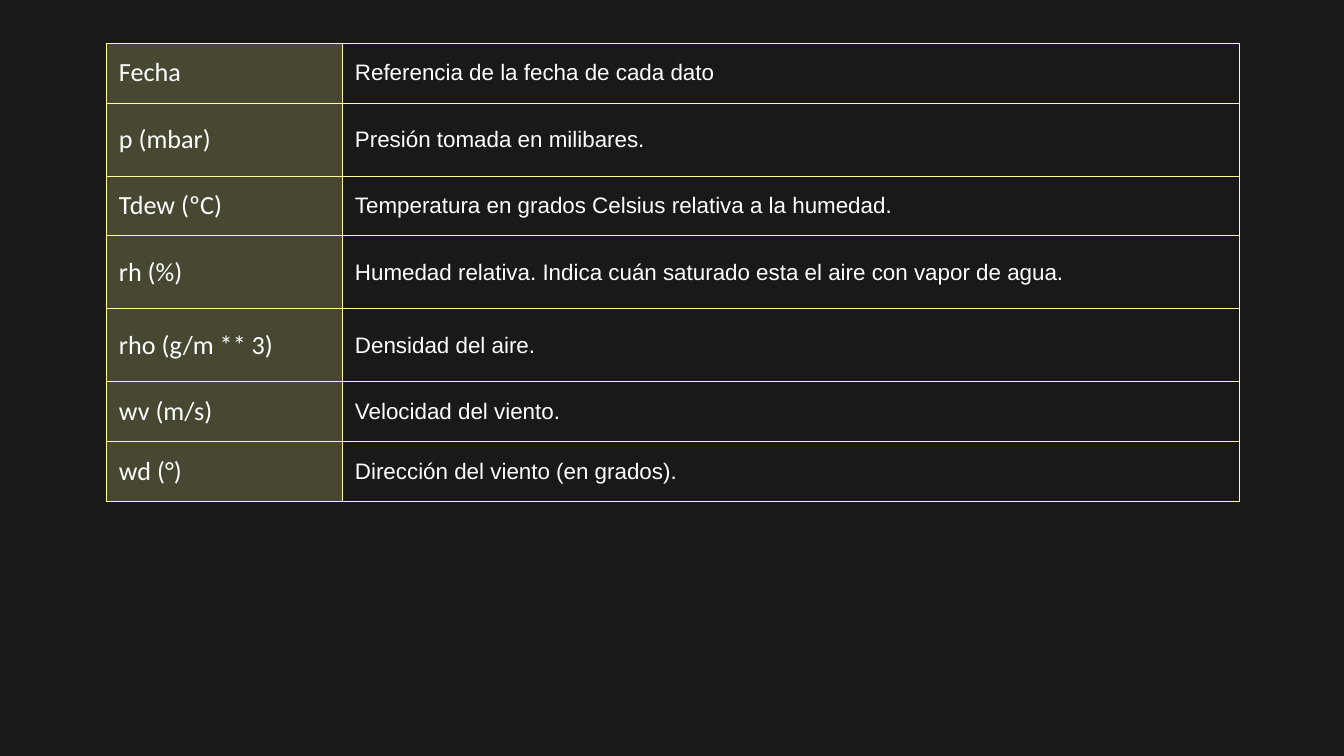
from pptx import Presentation
from pptx.dml.color import RGBColor
from pptx.enum.text import MSO_VERTICAL_ANCHOR as Anchor
from pptx.oxml.ns import qn
from pptx.util import Pt
from lxml.etree import SubElement

EMU_PER_PX = 914400 / 134.4
COLORS = {"background": "191919", "accent": "FFFF99", "text": "FFFFFF"}
VARIABLES = [
    ("Fecha", "Referencia de la fecha de cada dato", 60),
    ("p (mbar)", "Presión tomada en milibares.", 73),
    ("Tdew (ºC)", "Temperatura en grados Celsius relativa a la humedad.", 60),
    ("rh (%)", "Humedad relativa. Indica cuán saturado esta el aire con vapor de agua.", 73),
    ("rho (g/m ** 3)", "Densidad del aire.", 73),
    ("wv (m/s)", "Velocidad del viento.", 60),
    ("wd (°)", "Dirección del viento (en grados).", 60),
]


def px(length):
    return round(length * EMU_PER_PX)


def rgb(name):
    return RGBColor.from_string(COLORS[name])


class SlideBuilder:
    label_font = ("Calibri", 14)
    description_font = ("Arial", 12)
    cell_margin = 13
    border_width = 0.5
    label_opacity = 20

    def __init__(self, slide):
        self.slide = slide

    def background(self):
        fill = self.slide.background.fill
        fill.solid()
        fill.fore_color.rgb = rgb("background")

    def table(self, left, top, column_widths, rows):
        heights = [height for _, _, height in rows]
        table = self.slide.shapes.add_table(
            len(rows), len(column_widths), px(left), px(top),
            px(sum(column_widths)), px(sum(heights))).table
        table.first_row = table.horz_banding = False
        for column, width in zip(table.columns, column_widths):
            column.width = px(width)
        for index, (label, description, height) in enumerate(rows):
            table.rows[index].height = px(height)
            label_cell, description_cell = table.rows[index].cells
            self.cell(label_cell, label, self.label_font)
            self.tint(label_cell)
            self.cell(description_cell, description, self.description_font)
            description_cell.fill.background()

    def cell(self, cell, text, font):
        cell.vertical_anchor = Anchor.MIDDLE
        cell.margin_left = cell.margin_right = px(self.cell_margin)
        cell.margin_top = cell.margin_bottom = px(self.cell_margin)
        run = cell.text_frame.paragraphs[0].add_run()
        run.text = text
        run.font.name, size = font
        run.font.size = Pt(size)
        run.font.color.rgb = rgb("text")
        self.borders(cell)

    def borders(self, cell):
        properties = cell._tc.get_or_add_tcPr()
        for side in ("lnL", "lnR", "lnT", "lnB"):
            line = SubElement(properties, qn(f"a:{side}"), w=str(Pt(self.border_width)))
            fill = SubElement(line, qn("a:solidFill"))
            SubElement(fill, qn("a:srgbClr"), val=COLORS["accent"])

    def tint(self, cell):
        cell.fill.solid()
        cell.fill.fore_color.rgb = rgb("accent")
        color = cell._tc.tcPr.find(f"{qn('a:solidFill')}/{qn('a:srgbClr')}")
        SubElement(color, qn("a:alpha"), val=str(self.label_opacity * 1000))


def main():
    presentation = Presentation()
    presentation.slide_width, presentation.slide_height = px(1344), px(756)
    slide = presentation.slides.add_slide(presentation.slide_layouts[6])
    builder = SlideBuilder(slide)
    builder.background()
    builder.table(106, 43, (236, 897), VARIABLES)
    presentation.save("out.pptx")


if __name__ == "__main__":
    main()
